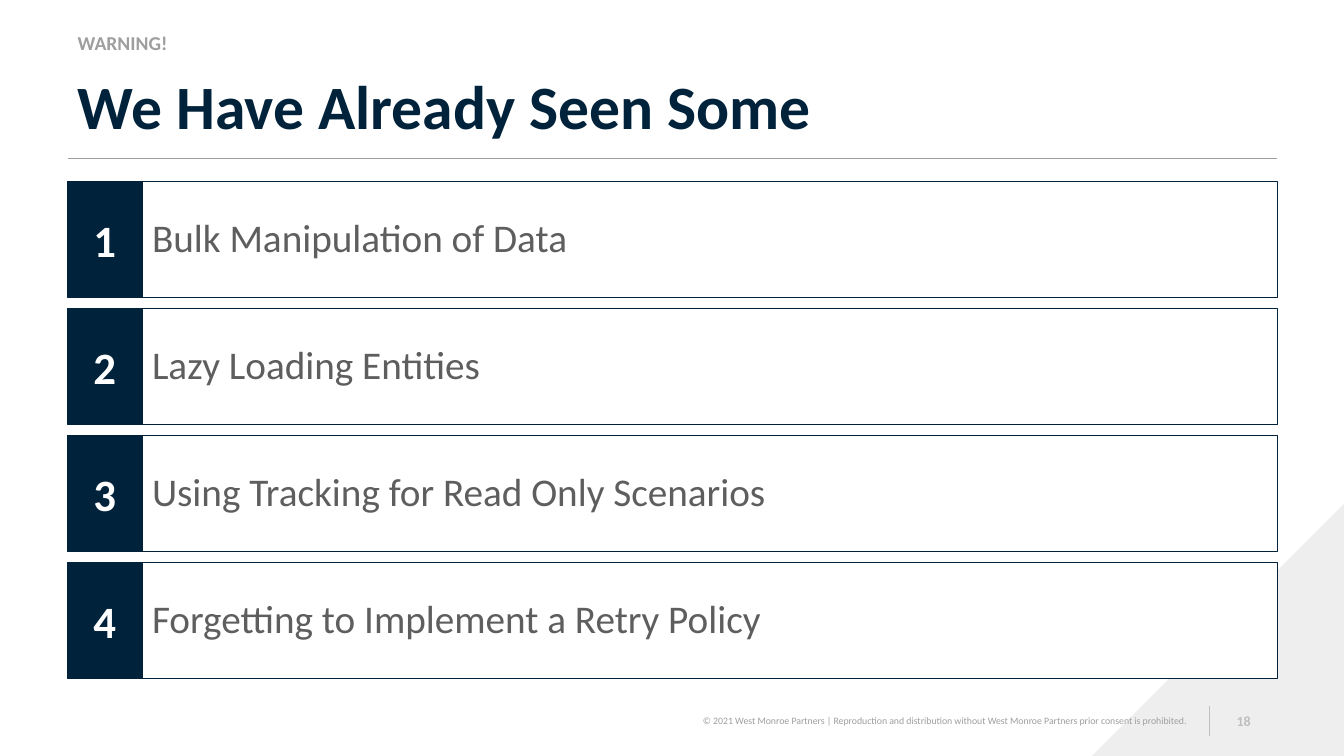
from lxml import etree
from pptx import Presentation
from pptx import util as u
from pptx.dml.color import RGBColor
from pptx.enum import shapes, text
from pptx.oxml import ns

NAVY = RGBColor(0x00, 0x22, 0x3A)
DARK_GRAY = RGBColor(0x5E, 0x5E, 0x5E)
GRAY = RGBColor(0x9E, 0x9E, 0x9E)
LIGHT_GRAY = RGBColor(0xBF, 0xBF, 0xBF)
WHITE = RGBColor(0xFF, 0xFF, 0xFF)

FONT = "Calibri"
LEFT, RIGHT = 0.67, 12.67
ROW_TOP, ROW_STEP, ROW_HEIGHT = 1.8, 1.26, 1.15
NUMBER_WIDTH = 0.74
ITEMS = [
    "Bulk Manipulation of Data",
    "Lazy Loading Entities",
    "Using Tracking for Read Only Scenarios",
    "Forgetting to Implement a Retry Policy",
]


def place(sp, left, top, width, height):
    sp.left, sp.top = u.Inches(left), u.Inches(top)
    sp.width, sp.height = u.Inches(width), u.Inches(height)


def write(sp, content, size, color, bold=False, align=text.PP_ALIGN.LEFT,
          anchor=text.MSO_ANCHOR.MIDDLE, spacing=1.0, inset=(0.1, 0.05)):
    tf = sp.text_frame
    tf.text = content
    tf.word_wrap = True
    tf.auto_size = text.MSO_AUTO_SIZE.NONE
    tf.vertical_anchor = anchor
    tf.margin_left = tf.margin_right = u.Inches(inset[0])
    tf.margin_top = tf.margin_bottom = u.Inches(inset[1])
    p = tf.paragraphs[0]
    p.alignment = align
    p.line_spacing = spacing
    p.space_before = u.Pt(0)
    font = p.runs[0].font
    font.name, font.size, font.bold = FONT, u.Pt(size), bold
    font.color.rgb = color


def add_label(s, box, content, size, color, **style):
    sp = s.shapes.add_textbox(*map(u.Inches, box))
    write(sp, content, size, color, **style)


def add_rule(s, start, end, color, width):
    line = s.shapes.add_connector(
        shapes.MSO_CONNECTOR.STRAIGHT, *map(u.Inches, start + end))
    line.line.color.rgb = color
    line.line.width = u.Pt(width)
    etree.SubElement(line._element.spPr, ns.qn("a:effectLst"))


def add_corner(s):
    sp = s.shapes.add_shape(
        shapes.MSO_SHAPE.RIGHT_TRIANGLE,
        *map(u.Inches, (10.83, 5, 2.5, 2.5)))
    sp.shadow.inherit = False
    sp.fill.solid()
    sp.fill.fore_color.rgb = DARK_GRAY
    sp.line.fill.background()
    sp._element.spPr.find(ns.qn("a:xfrm")).set("flipH", "1")
    color = sp._element.spPr.find(".//" + ns.qn("a:srgbClr"))
    etree.SubElement(color, ns.qn("a:alpha")).set("val", "10000")


def add_box(s, left, top, width, fill, content, size, color, **style):
    sp = s.shapes.add_shape(
        shapes.MSO_SHAPE.RECTANGLE,
        *map(u.Inches, (left, top, width, ROW_HEIGHT)))
    sp.shadow.inherit = False
    sp.fill.solid()
    sp.fill.fore_color.rgb = fill
    sp.line.color.rgb = NAVY
    sp.line.width = u.Pt(1)
    write(sp, content, size, color, inset=(0.1, 0.12), **style)


def add_row(s, number, item):
    top = ROW_TOP + (number - 1) * ROW_STEP
    item_left = LEFT + NUMBER_WIDTH
    add_box(s, item_left, top, RIGHT - item_left, WHITE, item, 28, DARK_GRAY,
            spacing=0.9)
    add_box(s, LEFT, top, NUMBER_WIDTH, NAVY, str(number), 32, WHITE,
            bold=True, align=text.PP_ALIGN.CENTER)


def fill_headings(s):
    title, kicker = s.placeholders[0], s.placeholders[1]
    place(title, LEFT, 0.67, RIGHT - LEFT, 0.8)
    write(title, "We Have Already Seen Some", 44, NAVY, bold=True,
          anchor=text.MSO_ANCHOR.BOTTOM, spacing=0.9)
    place(kicker, LEFT, 0.24, 3.75, 0.4)
    kicker.text_frame.text = "WARNING!"
    write(kicker, "WARNING!", 14, GRAY, bold=True, spacing=0.9)
    pPr = kicker.text_frame.paragraphs[0]._p.get_or_add_pPr()
    pPr.set("marL", "0")
    pPr.set("indent", "0")
    etree.SubElement(pPr, ns.qn("a:buNone"))


def add_footer(s):
    add_label(s, (5.73, 6.98, 6.13, 0.34),
              "© 2021 West Monroe Partners | Reproduction and distribution "
              "without West Monroe Partners prior consent is prohibited.",
              7, GRAY, align=text.PP_ALIGN.RIGHT, inset=(0.09, 0.04))
    add_rule(s, (12, 7), (12, 7.3), LIGHT_GRAY, 0.75)
    add_label(s, (12, 6.95, 0.67, 0.4), "18", 10, LIGHT_GRAY, bold=True,
              align=text.PP_ALIGN.CENTER)


def main():
    prs = Presentation()
    prs.slide_width, prs.slide_height = u.Inches(13.33), u.Inches(7.5)
    s = prs.slides.add_slide(prs.slide_layouts[1])
    fill_headings(s)
    add_corner(s)
    add_footer(s)
    add_rule(s, (LEFT, 1.57), (RIGHT, 1.57), GRAY, 0.5)
    for number, item in enumerate(ITEMS, 1):
        add_row(s, number, item)
    prs.save("out.pptx")


if __name__ == "__main__":
    main()
